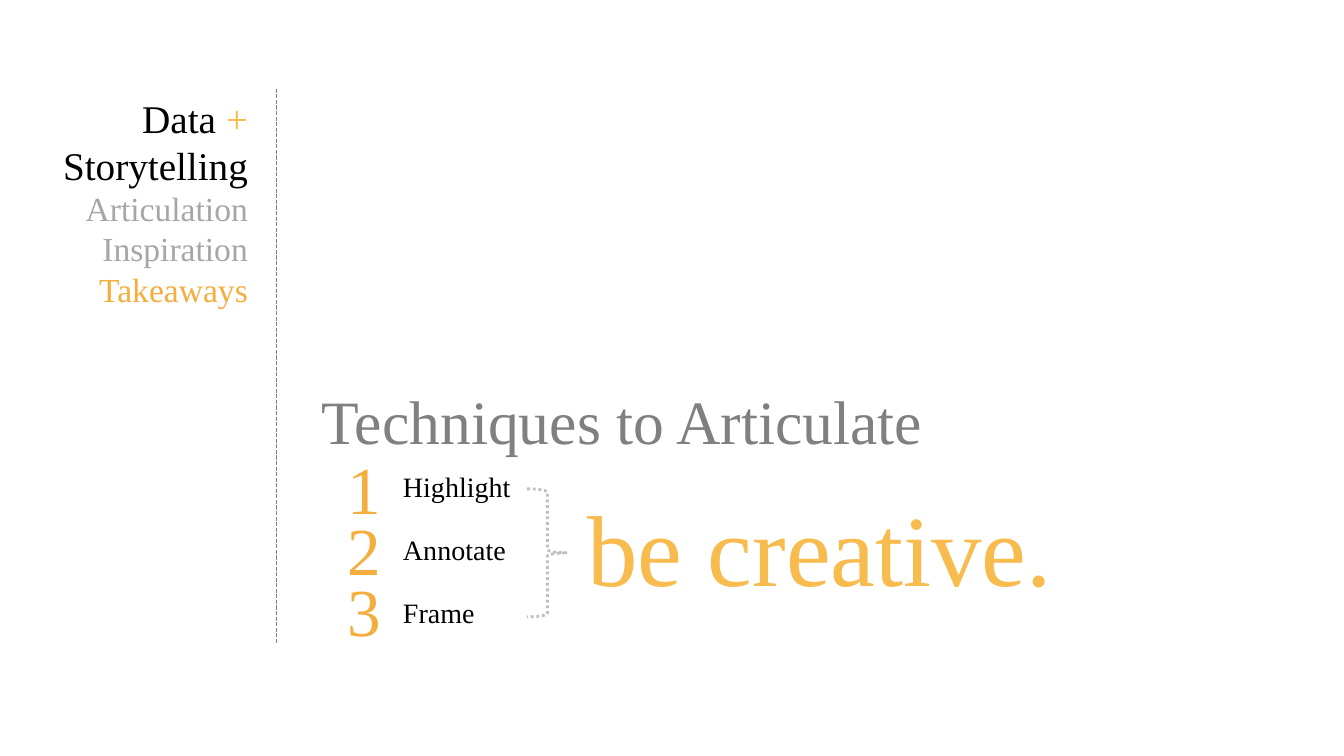
"""Build the takeaways slide on techniques to articulate data stories."""
from lxml.etree import SubElement
from pptx import Presentation
from pptx.dml.color import RGBColor
from pptx.enum.dml import MSO_LINE
from pptx.enum.shapes import MSO_CONNECTOR, MSO_SHAPE
from pptx.enum.text import MSO_ANCHOR, MSO_AUTO_SIZE, PP_ALIGN
from pptx.oxml.ns import qn
from pptx.util import Pt

BLACK = RGBColor(0x00, 0x00, 0x00)
GRAY = RGBColor(0x80, 0x80, 0x80)
LIGHT_GRAY = RGBColor(0xA6, 0xA6, 0xA6)
BRACE_GRAY = RGBColor(0xBF, 0xBF, 0xBF)
ORANGE = RGBColor(0xF4, 0xAE, 0x3E)
YELLOW = RGBColor(0xF8, 0xBB, 0x4E)
FRAME_FORMAT = {"word_wrap": True, "auto_size": MSO_AUTO_SIZE.NONE, "vertical_anchor": MSO_ANCHOR.TOP}


def place(shape, left, top, width, height):
    box = {"left": left, "top": top, "width": width, "height": height}
    for name, value in box.items():
        setattr(shape, name, Pt(value))
    for name, value in FRAME_FORMAT.items():
        setattr(shape.text_frame, name, value)


def write(paragraph, runs, alignment=PP_ALIGN.LEFT):
    paragraph.alignment = alignment
    paragraph.space_before = Pt(0)
    for text, size, color in runs:
        run = paragraph.add_run()
        run.text = text
        for name, value in {"name": "Times New Roman", "size": Pt(size)}.items():
            setattr(run.font, name, value)
        run.font.color.rgb = color


presentation = Presentation()
presentation.slide_width = Pt(960)
presentation.slide_height = Pt(540)
slide = presentation.slides.add_slide(presentation.slide_layouts[1])
title, agenda = slide.placeholders

divider = slide.shapes.add_connector(MSO_CONNECTOR.STRAIGHT, Pt(197.3), Pt(63.4), Pt(197.3), Pt(459.4))
SubElement(divider._element.spPr, qn("a:effectLst"))

place(title, 222.5, 270, 451, 60.5)
title.text_frame.word_wrap = False
write(title.text_frame.paragraphs[0], [("Techniques to Articulate", 44, GRAY)])

place(agenda, 29.5, 63.4, 154.8, 162.7)
agenda_lines = [
    [("Data ", 28, BLACK), ("+", 28, YELLOW)],
    [("Storytelling", 28, BLACK)],
    [("Articulation", 24, LIGHT_GRAY)],
    [("Inspiration", 24, LIGHT_GRAY)],
    [("Takeaways", 24, ORANGE)],
]
for index, runs in enumerate(agenda_lines):
    frame = agenda.text_frame
    paragraph = frame.add_paragraph() if index else frame.paragraphs[0]
    write(paragraph, runs, PP_ALIGN.RIGHT)
    properties = paragraph._p.get_or_add_pPr()
    for name in ("marL", "indent"):
        properties.set(name, "0")
    SubElement(properties, qn("a:buNone"))

labels = [("be creative.", 72, YELLOW, 412.6, 343.4, 350, 94.5)]
for index, technique in enumerate(["Highlight", "Annotate", "Frame"]):
    labels.append((str(index + 1), 48, ORANGE, 241.2, 316 + 43.6 * index, 45, 65.5))
    labels.append((technique, 20, BLACK, 280.8, 332 + 45 * index, 100, 31.5))
for text, size, color, *box in labels:
    label = slide.shapes.add_textbox(0, 0, 0, 0)
    place(label, *box)
    write(label.text_frame.paragraphs[0], [(text, size, color)])

brace = slide.shapes.add_shape(MSO_SHAPE.RIGHT_BRACE, Pt(376.6), Pt(349.2), Pt(28.8), Pt(91.4))
brace.shadow.inherit = False
brace.fill.background()

line_formats = [
    (divider.line, GRAY, {"width": Pt(1), "dash_style": MSO_LINE.SQUARE_DOT}),
    (brace.line, BRACE_GRAY, {"width": Pt(2), "dash_style": MSO_LINE.ROUND_DOT}),
]
for line, color, line_format in line_formats:
    line.color.rgb = color
    for name, value in line_format.items():
        setattr(line, name, value)

presentation.save("out.pptx")
